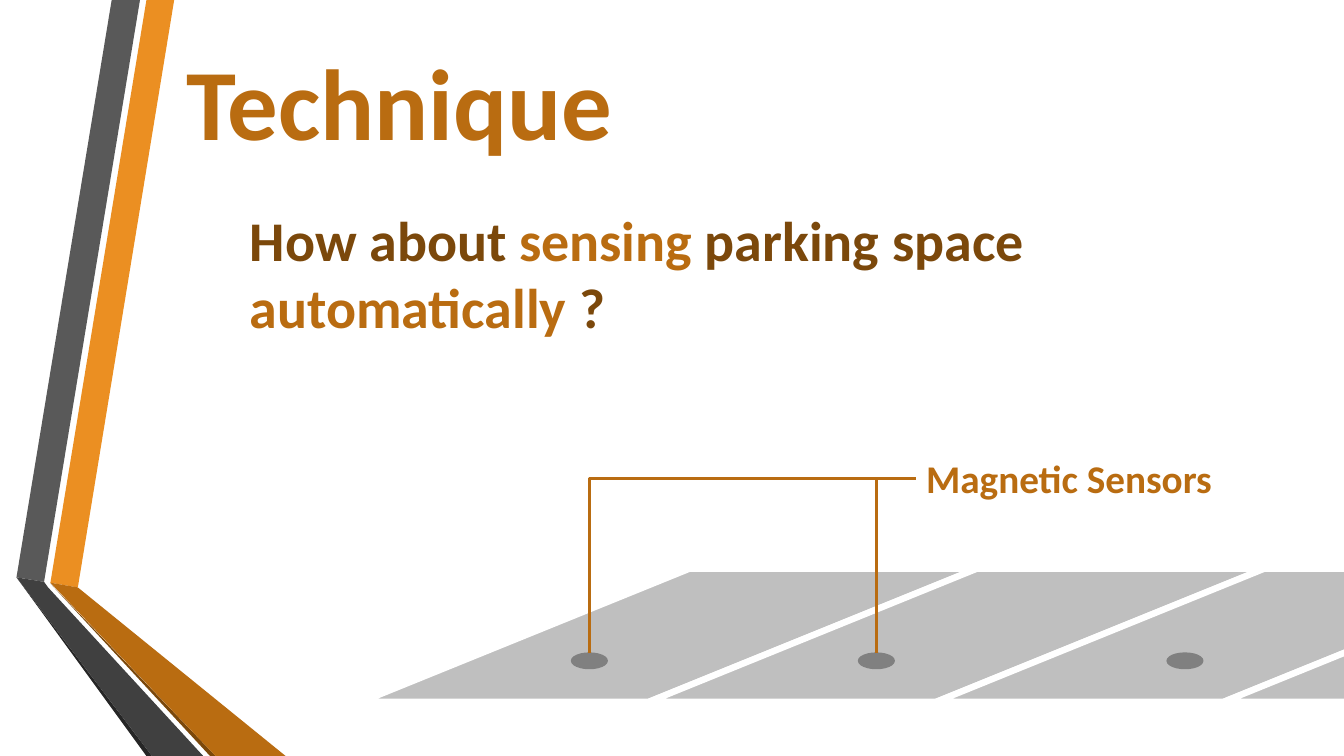
"""Build the parking technique slide with its bays and magnetic sensors."""
from lxml import etree
from pptx import Presentation
from pptx import util as u
from pptx.dml import color
from pptx.enum import shapes, text
from pptx.oxml import ns

ORANGE, BROWN, GREY = "B96C11", "7B480B", "808080"
WIDTH, HEIGHT = 960, 540
RIBBONS = [
    ("EB8F22", [(36, 416.2), (55.6, 419.6), (124.4, 0), (104.6, 0)]),
    ("595959", [(100, 0), (79.8, 0), (11.8, 412.4), (31.5, 415.6)]),
    ("262626", [(11.8, 412.4), (104.6, HEIGHT), (108.6, HEIGHT)]),
    (BROWN, [(36, 416.8), (150, HEIGHT), (154, HEIGHT)]),
    (ORANGE, [(36, 416.2), (154, HEIGHT), (204, HEIGHT), (55.6, 419.6)]),
    ("404040", [(145.2, HEIGHT), (34.4, 419.6), (31.5, 415.6),
                (11.8, 412.4), (108.6, HEIGHT)]),
]


def rgb(value):
    return color.RGBColor.from_string(value)


def points(values):
    return [u.Pt(value) for value in values]


def assign(target, values):
    for name, value in values.items():
        setattr(target, name, value)


class Painter:
    def __init__(self, page, font_name):
        self.page = page
        self.font_name = font_name

    def paint(self, shape, fill, line=None, weight=0):
        shape.shadow.inherit = False
        shape.fill.solid()
        shape.fill.fore_color.rgb = rgb(fill)
        if line:
            shape.line.color.rgb = rgb(line)
            shape.line.width = u.Pt(weight)
        else:
            shape.line.fill.background()
        return shape

    def outline(self, corners, fill):
        start, *rest = [points(corner) for corner in corners]
        builder = self.page.shapes.build_freeform(*start)
        builder.add_line_segments(rest, close=True)
        return self.paint(builder.convert_to_shape(), fill)

    def preset(self, kind, area, fill, line, weight):
        shape = self.page.shapes.add_shape(kind, *points(area))
        return self.paint(shape, fill, line, weight)

    def label(self, area, size, spans, frame_format):
        box = self.page.shapes.add_textbox(*points(area))
        assign(box.text_frame, {"word_wrap": True, **frame_format})
        para = box.text_frame.paragraphs[0]
        for words, shade in spans:
            span = para.add_run()
            span.text = words
            assign(span.font, {"name": self.font_name, "size": u.Pt(size), "bold": True})
            span.font.color.rgb = rgb(shade)
        return box

    def connect(self, kind, start, end, shade, weight):
        link = self.page.shapes.add_connector(kind, *points(start + end))
        link.line.color.rgb = rgb(shade)
        link.line.width = u.Pt(weight)
        etree.SubElement(link._element.spPr, ns.qn("a:effectLst"))
        return link

    def corner(self, start, end, shade, weight):
        middle_x, middle_y = (start[0] + end[0]) / 2, (start[1] + end[1]) / 2
        half_x, half_y = (start[1] - end[1]) / 2, (end[0] - start[0]) / 2
        link = self.connect(shapes.MSO_CONNECTOR.ELBOW,
                            (middle_x + half_x, middle_y + half_y),
                            (middle_x - half_x, middle_y - half_y), shade, weight)
        properties = link._element.spPr
        properties.find(ns.qn("a:xfrm")).set("rot", "5400000")
        properties.find(ns.qn("a:prstGeom")).set("prst", "bentConnector2")
        return link


def main():
    deck = Presentation()
    assign(deck, {"slide_width": u.Pt(WIDTH), "slide_height": u.Pt(HEIGHT)})
    painter = Painter(deck.slides.add_slide(deck.slide_layouts[6]), "Calibri")
    growing = {"auto_size": text.MSO_AUTO_SIZE.SHAPE_TO_FIT_TEXT}

    for fill, corners in RIBBONS:
        painter.outline(corners, fill)

    painter.label((126, 29.5, 834, 84.2), 72, [("Technique", ORANGE)],
                  {"vertical_anchor": text.MSO_ANCHOR.MIDDLE})
    question = [("How about ", BROWN), ("sensing", ORANGE), (" parking space ", BROWN),
                ("automatically", ORANGE), (" ?", BROWN)]
    painter.label((171.4, 143.3, 717.8, 104.4), 40, question, growing)

    for index in range(4):
        bay = painter.preset(shapes.MSO_SHAPE.PARALLELOGRAM,
                             (258.5 + 205.3 * index, 406.2, 439.2, 95),
                             "BFBFBF", "FFFFFF", 4.5)
        bay.adjustments[0] = 2.464

    sensor_top = 466.6
    sensors = [painter.preset(shapes.MSO_SHAPE.OVAL, (left, sensor_top, 25.2, 10.8),
                              GREY, GREY, 1.25)
               for left in (408.4, 613.4, 833.8)]

    wire_top = 342
    painter.corner((421, sensor_top), (654.5, wire_top), ORANGE, 2.25)
    painter.label((654.5, 321.1, 260, 41), 28, [("Magnetic Sensors", ORANGE)], growing)
    branch = painter.connect(shapes.MSO_CONNECTOR.STRAIGHT, (626, sensor_top),
                             (626, wire_top), ORANGE, 2.25)
    branch.begin_connect(sensors[1], 0)

    deck.save("out.pptx")


if __name__ == "__main__":
    main()
